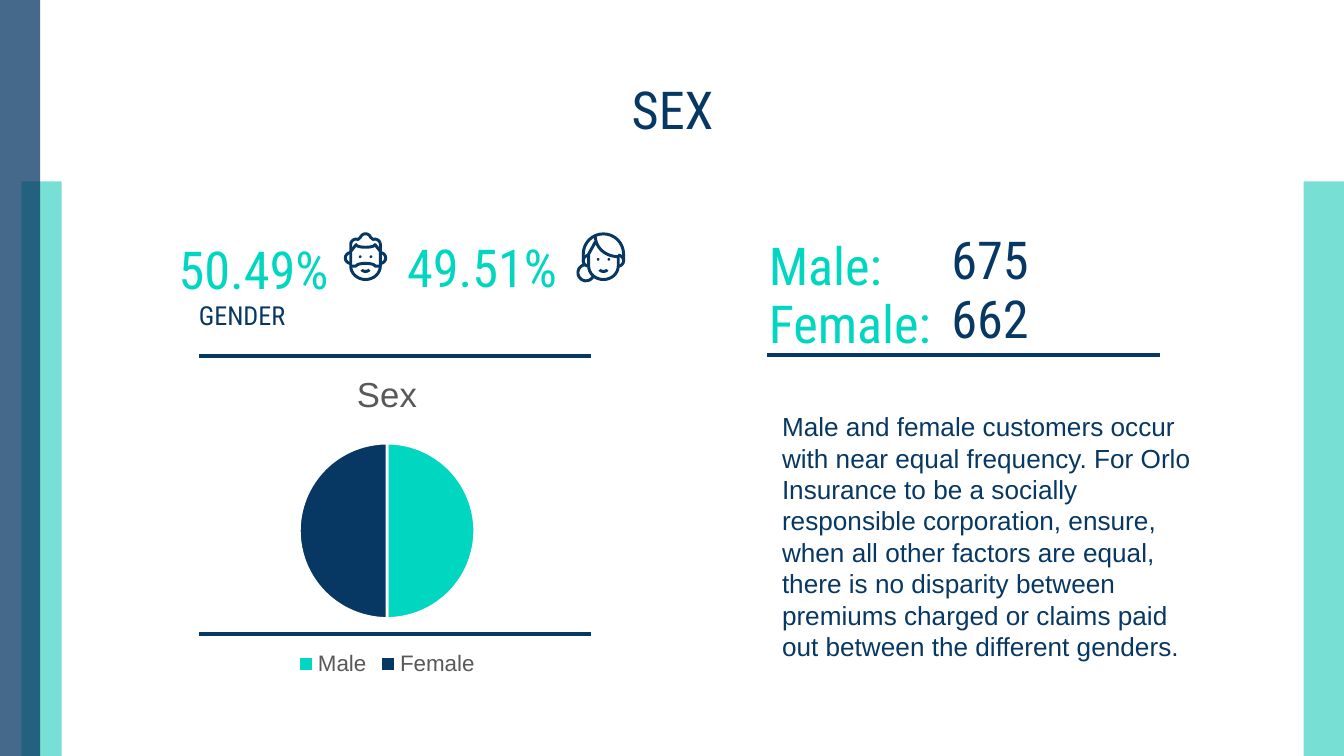
import math
from dataclasses import dataclass

import pptx
import pptx.chart.data
import pptx.dml.color
import pptx.enum.chart
import pptx.enum.shapes
import pptx.enum.text
import pptx.oxml
import pptx.oxml.ns
import pptx.util
from pptx.util import Inches, Pt

COLORS = {"navy": "073763", "teal": "00D6C0", "band": "00C3B1",
          "gray": "595959", "white": "FFFFFF"}
HEAD, BODY = "Roboto Condensed", "Arial"
WIDTH = Inches(10)
HEIGHT = WIDTH * 9 // 16
ANCHOR = pptx.enum.text.MSO_ANCHOR
ALIGN = pptx.enum.text.PP_ALIGN
SHAPE = pptx.enum.shapes.MSO_SHAPE


@dataclass
class Band:
    left: float
    top: float
    width: float
    color: str
    alpha: int


@dataclass
class Label:
    text: str
    left: float
    top: float
    width: float
    height: float
    color: str = "navy"
    size: int = 28
    font: str = HEAD
    anchor: ANCHOR = ANCHOR.BOTTOM
    align: ALIGN = ALIGN.LEFT
    inset: float = 0


@dataclass
class Arc:
    """Part of an ellipse; angles in degrees, clockwise from the right."""
    x: float
    y: float
    rx: float = 0
    ry: float = 0
    start: float = 0
    end: float = 0

    def points(self) -> list:
        steps = 16 if self.rx else 0
        turns = [math.radians(self.start + (self.end - self.start) * i / max(steps, 1))
                 for i in range(steps + 1)]
        return [(Inches(self.x + self.rx * math.cos(t)),
                 Inches(self.y + self.ry * math.sin(t))) for t in turns]


@dataclass
class Face:
    x: float          # middle of the face
    eye: float        # height of the eyes
    traces: list      # chains of arcs


def rgb(name: str) -> pptx.dml.color.RGBColor:
    return pptx.dml.color.RGBColor.from_string(COLORS[name])


def draw_band(shapes, band: Band) -> None:
    top = Inches(band.top)
    box = shapes.add_shape(SHAPE.RECTANGLE, Inches(band.left), top,
                           Inches(band.width), HEIGHT - top)
    box.shadow.inherit = False
    box.line.fill.background()
    box.fill.solid()
    box.fill.fore_color.rgb = rgb(band.color)
    tint = box._element.spPr.find(".//" + pptx.oxml.ns.qn("a:srgbClr"))
    tint.append(pptx.oxml.parse_xml(
        f'<a:alpha {pptx.oxml.ns.nsdecls("a")} val="{band.alpha * 1000}"/>'))


def draw_rule(shapes, left: float, top: float) -> None:
    rule = shapes.add_connector(pptx.enum.shapes.MSO_CONNECTOR.STRAIGHT, Inches(left),
                                Inches(top), Inches(left + 2.92), Inches(top))
    rule.line.color.rgb = rgb("navy")
    rule.line.width = Pt(2.25)
    rule._element.spPr.append(
        pptx.oxml.parse_xml(f'<a:effectLst {pptx.oxml.ns.nsdecls("a")}/>'))


def draw_label(shapes, label: Label) -> None:
    box = shapes.add_textbox(Inches(label.left), Inches(label.top),
                             Inches(label.width), Inches(label.height))
    frame = box.text_frame
    frame.word_wrap = True
    frame.vertical_anchor = label.anchor
    frame.margin_left = frame.margin_right = Inches(label.inset)
    frame.margin_top = frame.margin_bottom = Inches(label.inset)
    para = frame.paragraphs[0]
    para.text = label.text
    para.alignment = label.align
    para.font.name = label.font
    para.font.size = Pt(label.size)
    para.font.color.rgb = rgb(label.color)


def draw_face(shapes, face: Face) -> None:
    group = shapes.add_group_shape().shapes
    mouth = [Arc(face.x, 2, 0.03, 0.02, 160, 20)]
    for trace in face.traces + [mouth]:
        dots = [dot for arc in trace for dot in arc.points()]
        pen = group.build_freeform(*dots[0])
        pen.add_line_segments(dots[1:], close=False)
        curve = pen.convert_to_shape()
        curve.shadow.inherit = False
        curve.fill.background()
        curve.line.color.rgb = rgb("navy")
        curve.line.width = Pt(1.6)
    for side in (-1, 1):
        eye = group.add_shape(SHAPE.OVAL, Inches(face.x + side * 0.04 - 0.01),
                              Inches(face.eye - 0.01), Inches(0.02), Inches(0.02))
        eye.shadow.inherit = False
        eye.line.fill.background()
        eye.fill.solid()
        eye.fill.fore_color.rgb = rgb("navy")


def draw_pie(shapes) -> None:
    data = pptx.chart.data.CategoryChartData()
    data.categories = ["Male", "Female"]
    data.add_series("Sex", [50, 50])
    chart = shapes.add_chart(pptx.enum.chart.XL_CHART_TYPE.PIE, Inches(1.42), Inches(2.61),
                             Inches(2.92), Inches(2.46), data).chart
    chart.font.name = BODY
    chart.font.size = Pt(10)
    chart.has_title = True
    title = chart.chart_title.text_frame.paragraphs[0]
    title.text = "Sex"
    chart.has_legend = True
    chart.legend.position = pptx.enum.chart.XL_LEGEND_POSITION.BOTTOM
    chart.legend.include_in_layout = False
    for font, size in ((title.font, 18.6), (chart.legend.font, 12)):
        font.name = BODY
        font.size = Pt(size)
        font.bold = False
        font.color.rgb = rgb("gray")
    plot = chart.plots[0]
    plot.vary_by_categories = True
    for i, color in enumerate(("teal", "navy")):
        look = plot.series[0].points[i].format
        look.fill.solid()
        look.fill.fore_color.rgb = rgb(color)
        look.line.color.rgb = rgb("white")
        look.line.width = Pt(1.5)


BANDS = [Band(0.16, 1.35, 0.3, "band", 53), Band(0, 0, 0.3, "navy", 75),
         Band(9.7, 1.35, 0.3, "band", 53)]
RULES = [(1.48, 2.65), (1.48, 4.72), (5.71, 2.64)]

MAN = Face(2.72, 1.91, [
    # Head and hair
    [Arc(2.72, 1.98, 0.11, 0.1, 0, 180), Arc(2.65, 1.82, 0.04, 0.04, 180, 290),
     Arc(2.72, 1.78, 0.04, 0.04, 200, 340), Arc(2.79, 1.82, 0.04, 0.04, 250, 360),
     Arc(2.83, 1.98)],
    # Fringe, beard, ears
    [Arc(2.61, 1.87), Arc(2.72, 1.82, 0.07, 0.02, 180, 0), Arc(2.83, 1.87)],
    [Arc(2.61, 1.98), Arc(2.72, 1.98, 0.07, 0.02, 180, 360), Arc(2.83, 1.98)],
    [Arc(2.61, 1.92, 0.04, 0.04, 270, 90)],
    [Arc(2.83, 1.92, 0.04, 0.04, 270, 450)]])
WOMAN = Face(4.49, 1.93, [
    # Hair, face with parting, bun, ears
    [Arc(4.34, 1.95), Arc(4.49, 1.89, 0.15, 0.15, 180, 360), Arc(4.64, 1.94)],
    [Arc(4.43, 1.76), Arc(4.6, 1.76, 0.17, 0.15, 180, 90),
     Arc(4.49, 1.98, 0.11, 0.1, 0, 180), Arc(4.38, 1.89), Arc(4.43, 1.8)],
    [Arc(4.36, 2.03, 0.06, 0.06, 260, 20)],
    [Arc(4.38, 1.94, 0.04, 0.04, 270, 90)],
    [Arc(4.6, 1.94, 0.04, 0.04, 270, 450)]])

NOTE = ("Male and female customers occur with near equal frequency. For Orlo "
        "Insurance to be a socially responsible corporation, ensure, when all other "
        "factors are equal, there is no disparity between premiums charged or claims "
        "paid out between the different genders.")
LABELS = [
    Label("SEX", 0.79, 0.59, 8.43, 0.44, anchor=ANCHOR.MIDDLE, align=ALIGN.CENTER, inset=0.1),
    Label("50.49%", 1.33, 1.64, 1.4, 0.59, "teal"),
    Label("49.51%", 3.03, 1.63, 1.4, 0.59, "teal"),
    Label("GENDER", 1.48, 2.23, 2.84, 0.23, size=14),
    Label("Male:", 5.72, 1.61, 2.52, 0.59, "teal"),
    Label("Female:", 5.72, 2.04, 2.52, 0.59, "teal"),
    Label("675", 7.08, 1.93, 2.84, 0.23),
    Label("662", 7.08, 2.37, 2.84, 0.23),
    Label(NOTE, 5.72, 3.02, 3.38, 1.94, size=14, font=BODY, anchor=ANCHOR.MIDDLE, inset=0.1),
]


def main() -> None:
    deck = pptx.Presentation()
    deck.slide_width, deck.slide_height = WIDTH, HEIGHT
    shapes = deck.slides.add_slide(deck.slide_layouts[6]).shapes
    # Side bands and rules
    for band in BANDS:
        draw_band(shapes, band)
    for left, top in RULES:
        draw_rule(shapes, left, top)
    # Icons, texts and chart
    for face in (MAN, WOMAN):
        draw_face(shapes, face)
    for label in LABELS:
        draw_label(shapes, label)
    draw_pie(shapes)
    deck.save("out.pptx")


if __name__ == "__main__":
    main()
